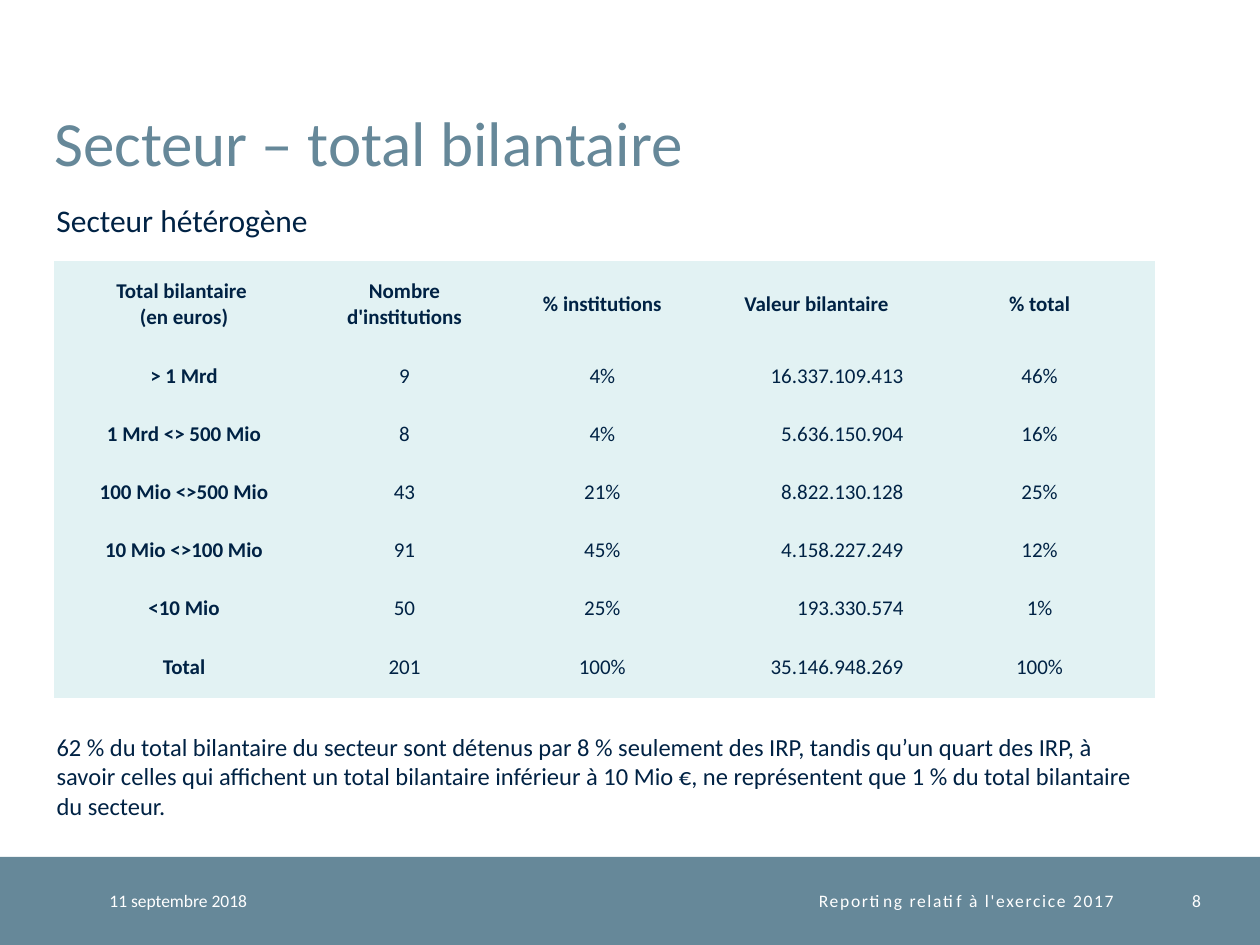
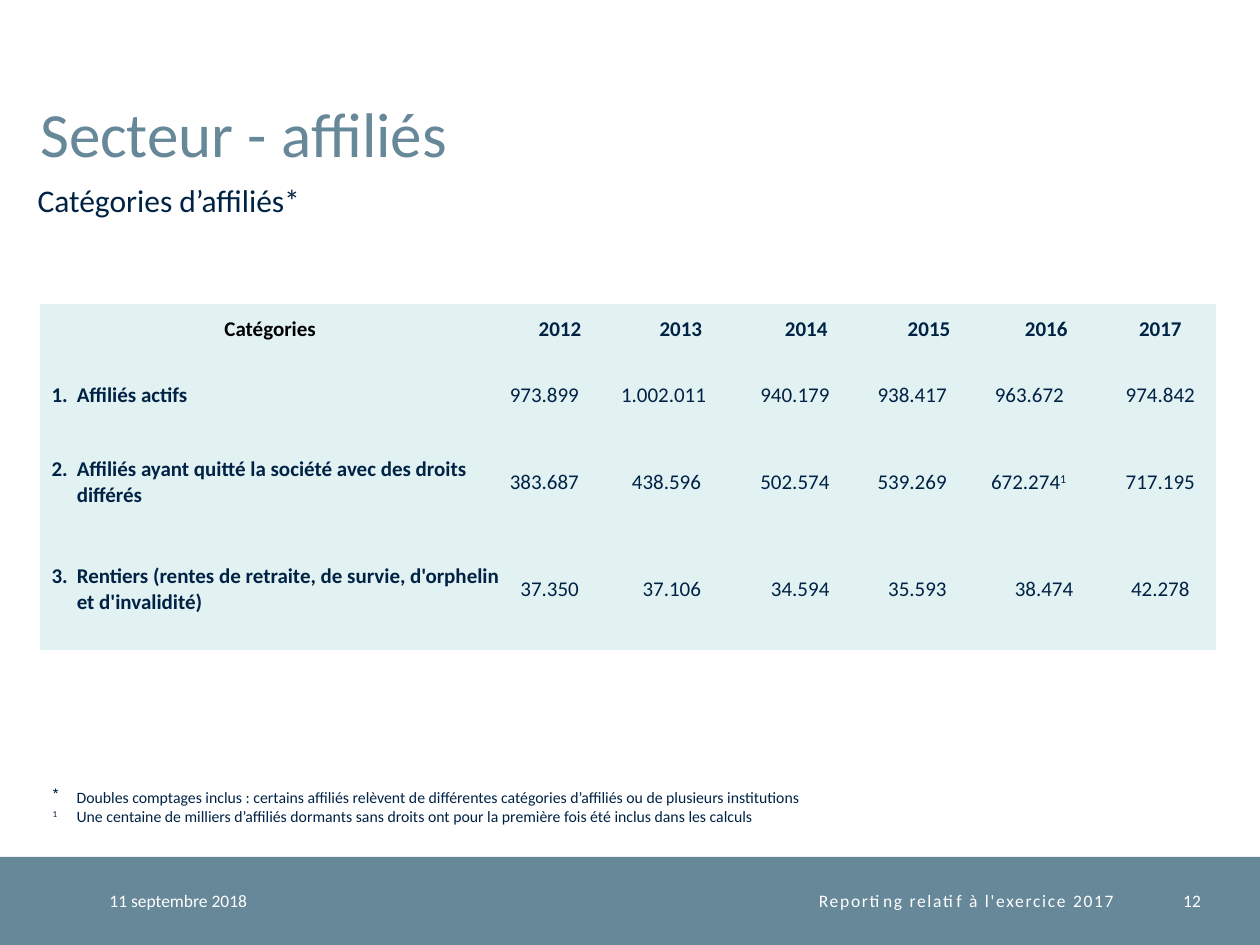
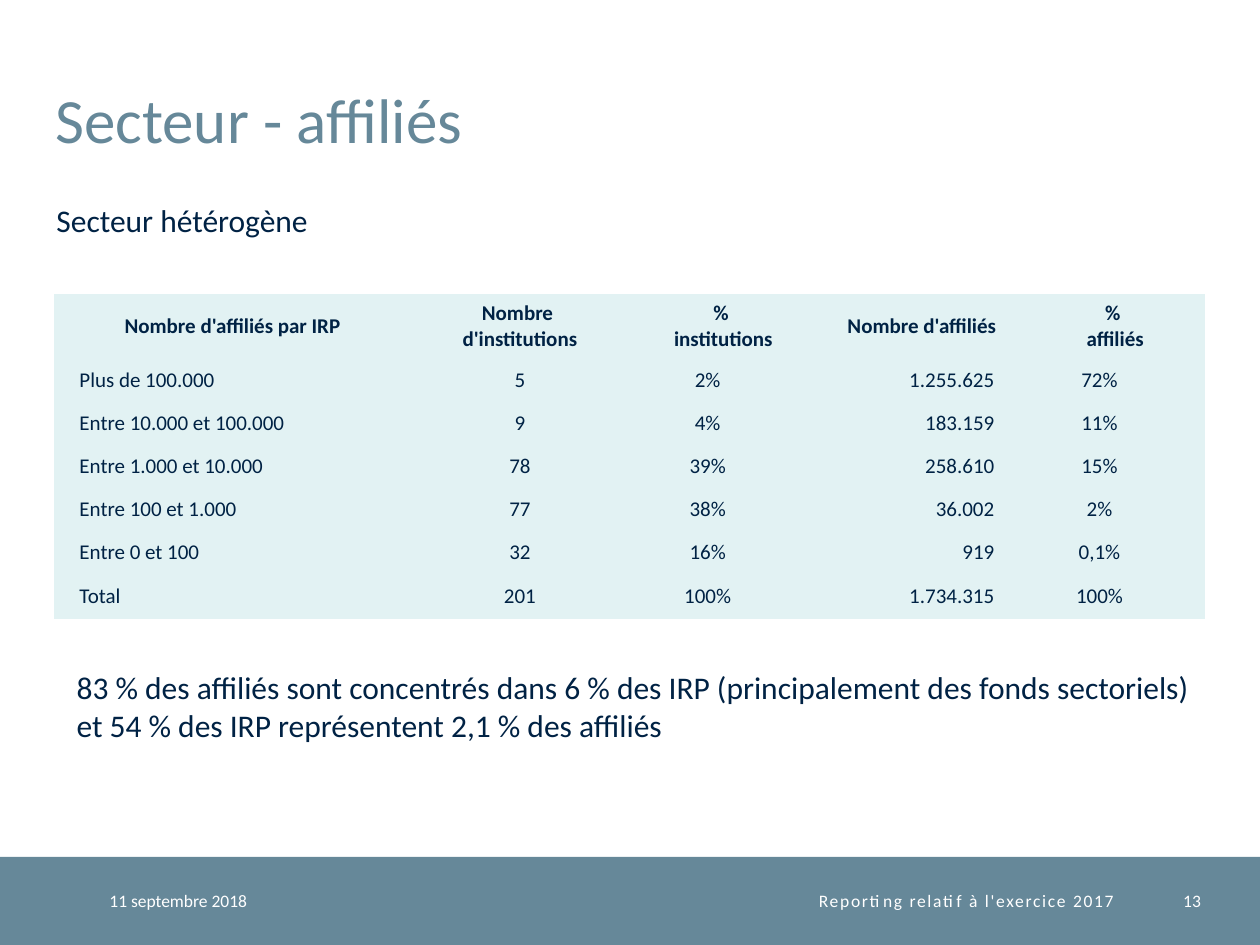
"""Build three slides on the pension sector, each with one table."""
from lxml import etree
from pptx import Presentation
from pptx import util as u
from pptx.dml.color import RGBColor
from pptx.enum import shapes, text
from pptx.oxml.ns import qn

SLATE, NAVY, PALE, WHITE, BLACK = "668899", "002244", "E2F2F3", "FFFFFF", "000000"
FACE = "Calibri"
PLAIN = "{2D5ABB26-0587-4C30-8999-92F81FD0307C}"
ALIGN = {"l": text.PP_ALIGN.LEFT, "c": text.PP_ALIGN.CENTER, "r": text.PP_ALIGN.RIGHT}
BAND = (489.6, 50.4)
DATE, REPORT = "11 septembre 2018", "Reporting relatif à l'exercice 2017"

SLIDES = [
    dict(
        page="8", title="Secteur – total bilantaire", spot=(31, 24.5),
        sub="Secteur hétérogène", subbox=(25.2, 111.6, 232.6, 28.8),
        at=(31, 149), cols=[148.3, 103.7, 122.4, 122.4, 132.5],
        rows=[49.7] + [33.1] * 5 + [34.6],
        align="cccrc", insets=[0, 0, 0, 11.5, 0], bold=True,
        data=[
            ["Total bilantaire \n(en euros)", "Nombre d'institutions", "% institutions",
             "Valeur bilantaire", "% total"],
            ["> 1 Mrd", "9", "4%", "16.337.109.413", "46%"],
            ["1 Mrd <> 500 Mio", "8", "4%", "5.636.150.904", "16%"],
            ["100 Mio <>500 Mio", "43", "21%", "8.822.130.128", "25%"],
            ["10 Mio <>100 Mio", "91", "45%", "4.158.227.249", "12%"],
            ["<10 Mio", "50", "25%", "193.330.574", "1%"],
            ["Total", "201", "100%", "35.146.948.269", "100%"],
        ],
        note="62 % du total bilantaire du secteur sont détenus par 8 % seulement des IRP, "
             "tandis qu’un quart des IRP, à savoir celles qui affichent un total bilantaire "
             "inférieur à 10 Mio €, ne représentent que 1 % du total bilantaire du secteur.",
        notebox=(25.2, 414.7, 635, 58.3), size=14,
    ),
    dict(
        page="12", title="Secteur - affiliés", spot=(23, 19.4),
        sub="Catégories d’affiliés*", subbox=(14.4, 100, 266.4, 28.8),
        at=(23, 173.5), cols=[262.8, 68.4, 69.8, 73.4, 67, 67, 63.4],
        rows=[29.5, 46, 53.3, 69.1],
        align="lrrrrrc", insets=[0] + [23.4] * 5 + [0], bold=True,
        indent=(20.9, -14.4), first=BLACK,
        special={(1, 2): 20.5, (2, 5): 22, (3, 5): 18},
        data=[
            ["Catégories", "2012", "2013", "2014", "2015", "2016", "2017"],
            ["1.\tAffiliés actifs", "973.899", "1.002.011", "940.179", "938.417",
             "963.672", "974.842"],
            ["2.\tAffiliés ayant quitté la société avec des droits différés", "383.687",
             "438.596", "502.574", "539.269", "672.274^1", "717.195"],
            ["3.\tRentiers (rentes de retraite, de survie, d'orphelin et d'invalidité)",
             "37.350", "37.106", "34.594", "35.593", "38.474", "42.278"],
        ],
        note="Doubles comptages inclus : certains affiliés relèvent de différentes catégories "
             "d’affiliés ou de plusieurs institutions\n"
             "^1^\tUne centaine de milliers d’affiliés dormants sans droits ont pour la "
             "première fois été inclus dans les calculs",
        notebox=(23, 446.4, 663, 28.8), size=9, hang=(13.7, -13.7), bullet="*",
    ),
    dict(
        page="13", title="Secteur - affiliés", spot=(31.7, 11.5),
        sub="Secteur hétérogène", subbox=(25.2, 111.6, 232.6, 28.8),
        at=(31, 167.8), cols=[203.8, 124.6, 108, 118.8, 102.2],
        rows=[37.4] + [24.5] * 5 + [25.9],
        align="lccrc", insets=[0, 0, 18, 18, 18], bold=False, indent=(14.4, 0),
        data=[
            ["Nombre d'affiliés par IRP", "Nombre \nd'institutions", "% \ninstitutions",
             "Nombre d'affiliés", "% \naffiliés"],
            ["Plus de 100.000", "5", "2%", "1.255.625", "72%"],
            ["Entre 10.000 et 100.000", "9", "4%", "183.159", "11%"],
            ["Entre 1.000 et 10.000", "78", "39%", "258.610", "15%"],
            ["Entre 100 et 1.000", "77", "38%", "36.002", "2%"],
            ["Entre 0 et 100", "32", "16%", "919", "0,1%"],
            ["Total", "201", "100%", "1.734.315", "100%"],
        ],
        note="83 % des affiliés sont concentrés dans 6 % des IRP (principalement des fonds "
             "sectoriels) et 54 % des IRP représentent 2,1 % des affiliés",
        notebox=(36.7, 378, 652.3, 51.1), size=18,
    ),
]


def paint(hue):
    return RGBColor.from_string(hue)


def write(frame, words, size, hue=NAVY, bold=False, align="l", indent=None):
    for i, line in enumerate(words.split("\n")):
        para = frame.paragraphs[0] if i == 0 else frame.add_paragraph()
        para.alignment = ALIGN[align]
        font = para.font
        font.name, font.size, font.bold = FACE, u.Pt(size), bold
        font.color.rgb = paint(hue)
        if indent:
            props = para._p.get_or_add_pPr()
            for key, value in zip(("marL", "indent"), indent):
                props.set(key, str(u.Pt(value)))
        for j, part in enumerate(line.split("^")):
            if part:
                run = para.add_run()
                run.text = part
                if j % 2:
                    run.font._element.set("baseline", "30000")


def add_text(slide, box, words, size, hue=NAVY, anchor=None, **style):
    frame = slide.shapes.add_textbox(*map(u.Pt, box)).text_frame
    frame.word_wrap = True
    if anchor:
        frame.vertical_anchor = anchor
        frame.margin_left = frame.margin_right = frame.margin_top = frame.margin_bottom = 0
    write(frame, words, size, hue, **style)
    return frame.paragraphs[0]


def add_base(slide, item):
    top, high = BAND
    band = slide.shapes.add_shape(shapes.MSO_SHAPE.RECTANGLE, 0, u.Pt(top), u.Pt(720), u.Pt(high))
    band.shadow.inherit = False
    band.fill.solid()
    band.fill.fore_color.rgb = paint(SLATE)
    band.line.fill.background()
    foot = [(62.6, 127.4, DATE, "l"), (190, 446.5, REPORT, "r"), (650.9, 35.3, item["page"], "r")]
    for left, wide, words, align in foot:
        para = add_text(slide, (left, top, wide, high), words, 10, WHITE,
                        text.MSO_ANCHOR.MIDDLE, align=align)
        if words == REPORT:
            para.runs[0].font._element.set("spc", "100")
    title = add_text(slide, (*item["spot"], 621.4, 77.8), item["title"], 36, SLATE,
                     text.MSO_ANCHOR.BOTTOM)
    title.line_spacing = u.Pt(32)
    add_text(slide, item["subbox"], item["sub"], 18)


def add_grid(slide, item):
    data, cols, rows = item["data"], item["cols"], item["rows"]
    box = (*item["at"], sum(cols), sum(rows))
    grid = slide.shapes.add_table(len(rows), len(cols), *map(u.Pt, box)).table
    grid._tbl.tblPr[0].text = PLAIN
    grid.first_row = grid.horz_banding = False
    for col, wide in zip(grid.columns, cols):
        col.width = u.Pt(wide)
    for r, high in enumerate(rows):
        grid.rows[r].height = u.Pt(high)
        for c, words in enumerate(data[r]):
            cell = grid.cell(r, c)
            cell.fill.solid()
            cell.fill.fore_color.rgb = paint(PALE)
            cell.vertical_anchor = text.MSO_ANCHOR.MIDDLE
            cell.margin_left = cell.margin_top = cell.margin_bottom = 0
            inset = item.get("special", {}).get((r, c), item["insets"][c])
            cell.margin_right = u.Pt(inset if r else 0)
            write(cell.text_frame, words, 12,
                  hue=item.get("first", NAVY) if r == c == 0 else NAVY,
                  bold=r == 0 or (c == 0 and item["bold"]),
                  align=item["align"][c] if r else "c",
                  indent=item.get("indent") if r and c == 0 else None)


def add_note(slide, item):
    para = add_text(slide, item["notebox"], item["note"], item["size"], indent=item.get("hang"))
    if "bullet" in item:
        mark = etree.Element(qn("a:buChar"), char=item["bullet"])
        para._p.pPr.find(qn("a:defRPr")).addprevious(mark)


def main():
    deck = Presentation()
    deck.slide_width, deck.slide_height = u.Pt(720), u.Pt(540)
    for item in SLIDES:
        slide = deck.slides.add_slide(deck.slide_layouts[6])
        add_base(slide, item)
        add_grid(slide, item)
        add_note(slide, item)
    deck.save("out.pptx")


if __name__ == "__main__":
    main()
